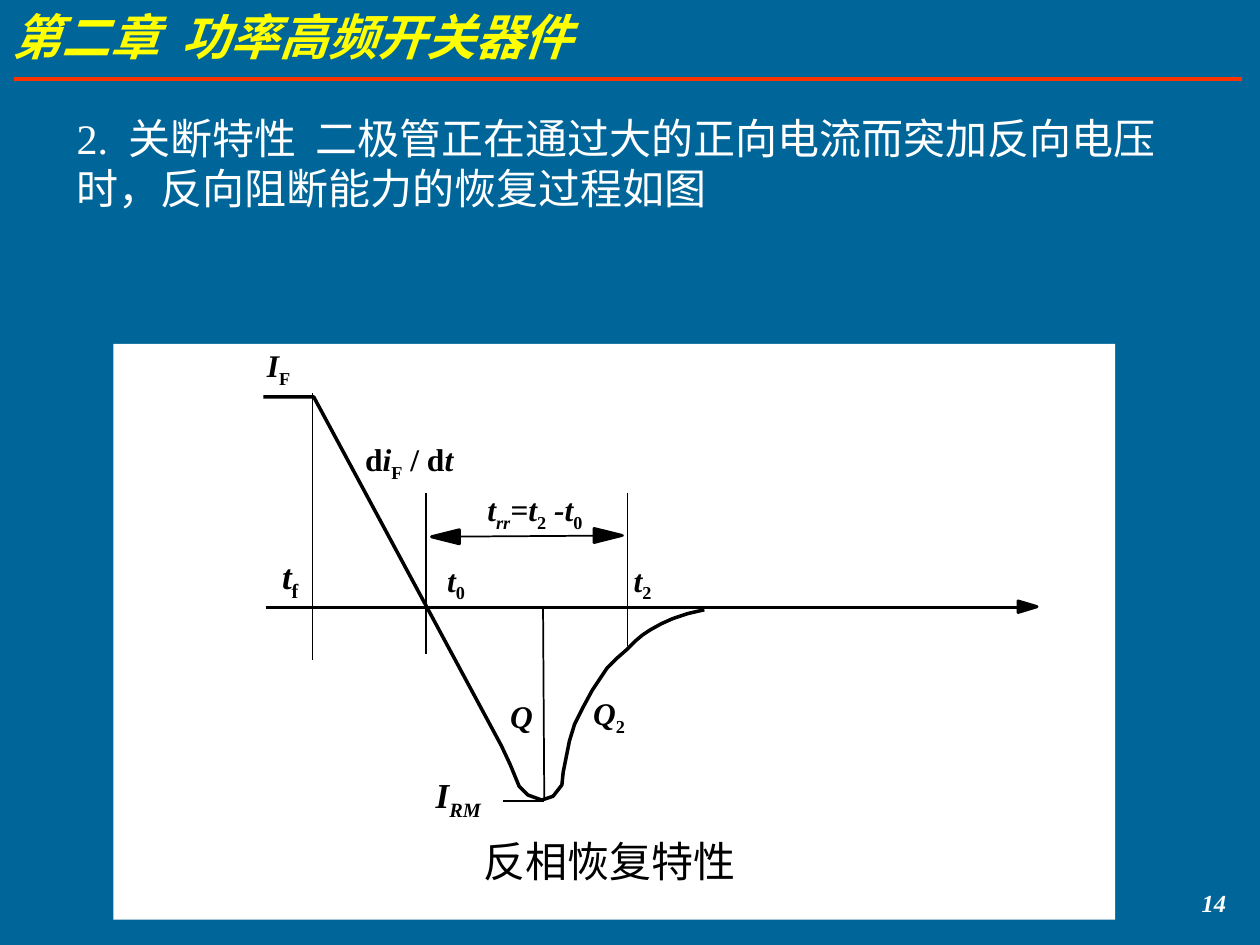
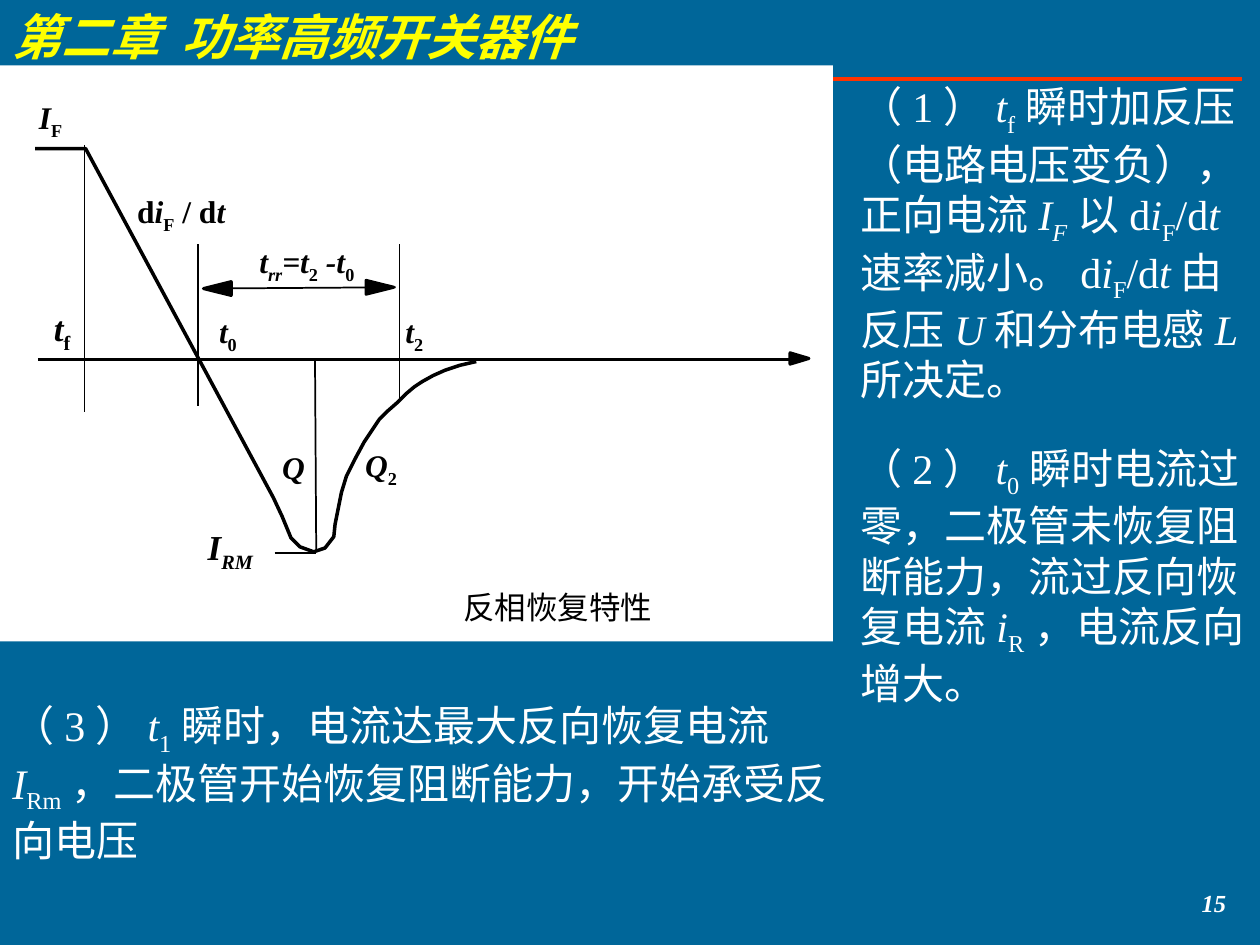
"""Build two slides on the turn-off behaviour of a power diode."""
from lxml.etree import SubElement
from pptx import Presentation
from pptx.dml.color import RGBColor
from pptx.enum.shapes import MSO_CONNECTOR, MSO_SHAPE
from pptx.enum.text import MSO_ANCHOR, PP_ALIGN
from pptx.oxml.ns import qn
from pptx.util import Inches, Pt

FONT = "Times New Roman"
BLUE = RGBColor(0x00, 0x66, 0x99)
RED = RGBColor(0xFF, 0x33, 0x00)
YELLOW = RGBColor(0xFF, 0xFF, 0x00)
WHITE = RGBColor(0xFF, 0xFF, 0xFF)
BLACK = RGBColor(0x00, 0x00, 0x00)

TITLE = "第二章  功率高频开关器件"
CAPTION = "反相恢复特性"

# Run styles: b = bold, i = italic, s = subscript.
SLIDES = [
    {
        "number": "14",
        "panel": (0.9, 2.73, 7.95, 4.57),
        "diagram": (2, 2.7),
        "caption": ((3.74, 6.58, 2.36, 0.5), 24),
        "texts": [
            ((0.51, 0.84, 8.82, 0.9), [
                ("2. 关断特性  二极管正在通过大的正向电流而突加反向电压时，"
                 "反向阻断能力的恢复过程如图", "")]),
        ],
    },
    {
        "number": "15",
        "panel": (0, 0.52, 6.61, 4.57),
        "diagram": (0.19, 0.73),
        "caption": ((3.58, 4.57, 1.87, 0.5), 18),
        "texts": [
            ((6.73, 0.59, 3.27, 2.67), [
                ("（1）", ""), ("t", "i"), ("f", "s"),
                ("瞬时加反压（电路电压变负），正向电流", ""), ("I", "i"), ("F", "is"),
                ("以d", ""), ("i", "i"), ("F", "s"), ("/d", ""), ("t", "i"),
                ("速率减小。d", ""), ("i", "i"), ("F", "s"), ("/d", ""), ("t", "i"),
                ("由反压", ""), ("U", "i"), ("和分布电感", ""), ("L", "i"),
                ("所决定。", "")]),
            ((6.73, 3.46, 3.27, 2.21), [
                ("（2）", ""), ("t", "i"), ("0", "s"),
                ("瞬时电流过零，二极管未恢复阻断能力，流过反向恢复电流", ""),
                ("i", "i"), ("R", "s"), ("，电流反向增大。", "")]),
            ((0, 5.53, 6.77, 1.36), [
                ("（3）", ""), ("t", "i"), ("1", "s"),
                ("瞬时，电流达最大反向恢复电流", ""), ("I", "i"), ("Rm", "s"),
                ("，二极管开始恢复阻断能力，开始承受反向电压", "")]),
        ],
    },
]

CURRENT_CURVE = [
    (0.09, 0.45), (0.49, 0.45), (1.98, 3.22), (2.05, 3.37), (2.12, 3.54),
    (2.19, 3.61), (2.3, 3.65), (2.39, 3.62), (2.46, 3.53), (2.47, 3.43),
    (2.52, 3.18), (2.56, 3.05), (2.63, 2.91), (2.7, 2.78), (2.76, 2.69),
    (2.82, 2.6), (2.89, 2.53), (2.97, 2.46), (3.04, 2.39), (3.1, 2.34),
    (3.16, 2.3), (3.25, 2.25), (3.34, 2.21), (3.46, 2.17), (3.59, 2.14),
]
DIAGRAM_LINES = [
    ((0.11, 2.12), (6.13, 2.12), 1.73),
    ((0.48, 0.42), (0.48, 2.54), 0.75),
    ((1.38, 1.21), (1.38, 2.49), 1),
    ((2.31, 2.12), (2.32, 3.65), 1),
    ((2.98, 1.21), (2.98, 2.43), 1),
    ((1.46, 1.56), (2.95, 1.55), 1),
    ((1.99, 3.66), (2.32, 3.66), 1),
]
ARROWHEADS = [
    ((2.77, 1.44, 0.11, 0.22), 90),
    ((1.48, 1.45, 0.11, 0.22), 270),
    ((6.11, 2.04, 0.09, 0.15), 90),
]
DIAGRAM_LABELS = [
    ((0.02, 0, 0.52, 0.44), 18, [("I", "bi"), ("F", "bs")]),
    ((0.8, 0.7, 1.1, 0.53), 18, [
        ("d", "b"), ("i", "bi"), ("F", "bs"), (" / d", "b"), ("t", "bi")]),
    ((1.77, 1.08, 1.15, 0.56), 18, [
        ("t", "bi"), ("rr", "bis"), ("=t", "bi"), ("2", "bs"),
        (" -t", "bi"), ("0", "bs")]),
    ((1.45, 1.7, 0.5, 0.44), 18, [("t", "bi"), ("0", "bs")]),
    ((2.93, 1.7, 0.5, 0.44), 18, [("t", "bi"), ("2", "bs")]),
    ((0.14, 1.65, 0.5, 0.48), 20, [("t", "bi"), ("f", "bs")]),
    ((1.36, 3.39, 0.75, 0.48), 20, [("I", "bi"), ("RM", "bis")]),
    ((1.95, 2.73, 0.5, 0.5), 18, [("Q", "bi")]),
    ((2.61, 2.76, 0.6, 0.44), 18, [("Q", "bi"), ("2", "bs")]),
]


def add_text(slide, box, runs, size, color, anchor=MSO_ANCHOR.MIDDLE, align=PP_ALIGN.LEFT):
    text_frame = slide.shapes.add_textbox(*map(Inches, box)).text_frame
    text_frame.word_wrap = True
    text_frame.vertical_anchor = anchor
    paragraph = text_frame.paragraphs[0]
    paragraph.alignment = align
    for text, style in runs:
        run = paragraph.add_run()
        run.text = text
        run.font.name = FONT
        run.font.size = Pt(size)
        run.font.color.rgb = color
        run.font.bold = "b" in style
        run.font.italic = "i" in style
        if "s" in style:
            run.font._element.set("baseline", "-25000")


def add_line(slide, start, end, color, width):
    line = slide.shapes.add_connector(MSO_CONNECTOR.STRAIGHT, *map(Inches, start + end))
    line.line.color.rgb = color
    line.line.width = Pt(width)
    SubElement(line._element.spPr, qn("a:effectLst"))


def add_filled_shape(slide, kind, box, color):
    shape = slide.shapes.add_shape(kind, *map(Inches, box))
    shape.shadow.inherit = False
    shape.fill.solid()
    shape.fill.fore_color.rgb = color
    shape.line.fill.background()
    return shape


def add_diagram(slide, origin):
    def place(point):
        return origin[0] + point[0], origin[1] + point[1]

    for start, end, width in DIAGRAM_LINES:
        add_line(slide, place(start), place(end), BLACK, width)

    points = [tuple(map(Inches, place(point))) for point in CURRENT_CURVE]
    builder = slide.shapes.build_freeform(*points[0])
    builder.add_line_segments(points[1:], close=False)
    curve = builder.convert_to_shape()
    curve.shadow.inherit = False
    curve.fill.background()
    curve.line.color.rgb = BLACK
    curve.line.width = Pt(2)

    for box, rotation in ARROWHEADS:
        arrowhead = add_filled_shape(
            slide, MSO_SHAPE.ISOSCELES_TRIANGLE, place(box) + box[2:], BLACK)
        arrowhead.rotation = rotation
        arrowhead.line.color.rgb = BLACK
        arrowhead.line.width = Pt(1.75)

    for box, size, runs in DIAGRAM_LABELS:
        add_text(slide, place(box) + box[2:], runs, size, BLACK)


def add_frame(slide, number):
    slide.background.fill.solid()
    slide.background.fill.fore_color.rgb = BLUE
    add_line(slide, (0.11, 0.63), (9.86, 0.63), RED, 2.25)
    add_text(slide, (0, 0, 6.09, 0.57), [(TITLE, "bi")], 28, YELLOW, MSO_ANCHOR.TOP)
    add_text(slide, (8.75, 7, 1.08, 0.33), [(number, "bi")], 14, WHITE,
             MSO_ANCHOR.TOP, PP_ALIGN.RIGHT)


def main():
    presentation = Presentation()
    presentation.slide_width = Inches(10)
    presentation.slide_height = Inches(7.5)
    for content in SLIDES:
        slide = presentation.slides.add_slide(presentation.slide_layouts[6])
        add_frame(slide, content["number"])
        add_filled_shape(slide, MSO_SHAPE.RECTANGLE, content["panel"], WHITE)
        add_diagram(slide, content["diagram"])
        caption_box, caption_size = content["caption"]
        add_text(slide, caption_box, [(CAPTION, "")], caption_size, BLACK)
        for box, runs in content["texts"]:
            add_text(slide, box, runs, 24, WHITE)
    presentation.save("out.pptx")


if __name__ == "__main__":
    main()
